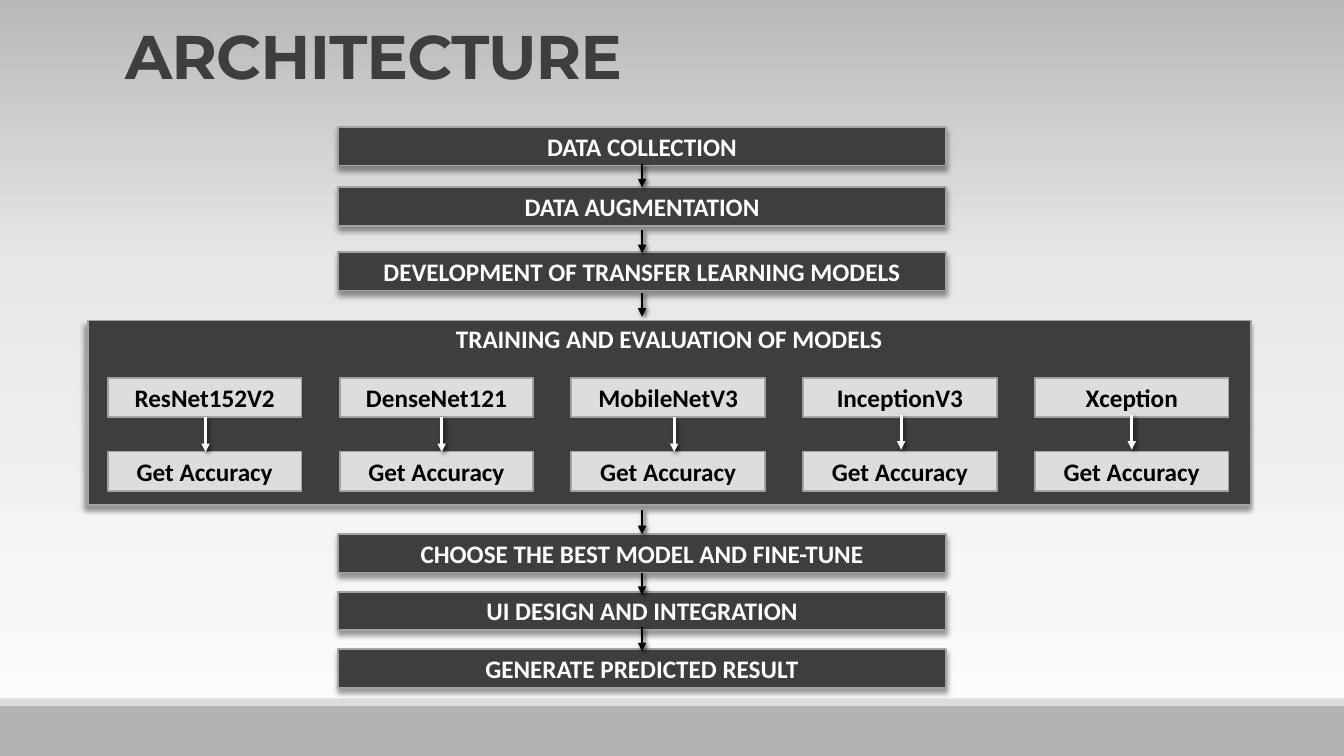
"""Build the architecture slide: a flow of steps around a panel of models."""
import copy

import lxml.etree
import pptx
import pptx.dml.color
import pptx.enum.dml
import pptx.enum.shapes
import pptx.enum.text
import pptx.oxml.ns
import pptx.util

Cm, Pt = pptx.util.Cm, pptx.util.Pt
qn = pptx.oxml.ns.qn
Align, Anchor = pptx.enum.text.PP_ALIGN, pptx.enum.text.MSO_ANCHOR

DARK, LIGHT, EDGE = "3E3E3E", "DDDDDD", "A3A3A3"
WHITE, BLACK = "FFFFFF", "000000"
WIDTH, HEIGHT = 33.87, 19.05
SKY = [(0, "FEFEFE"), (0.65, "E7E7E7"), (1, "B9B9B9")]
BANDS = [(17.78, 1.27, "B2B2B2"), (17.6, 0.18, LIGHT)]
TITLE = "ARCHITECTURE"
PANEL = "TRAINING AND EVALUATION OF MODELS"
SCORE = "Get Accuracy"
STEPS = [
    ("DATA COLLECTION", 3.2),
    ("DATA AUGMENTATION", 4.72),
    ("DEVELOPMENT OF TRANSFER LEARNING MODELS", 6.35),
    ("CHOOSE THE BEST MODEL AND FINE-TUNE", 13.46),
    ("UI DESIGN AND INTEGRATION", 14.91),
    ("GENERATE PREDICTED RESULT", 16.36),
]
FLOWS = [(4.14, 4.72), (5.79, 6.38), (7.39, 7.98),
         (12.85, 13.46), (14.43, 14.99), (15.8, 16.41)]
MODELS = [
    ("ResNet152V2", 5.18, 10.52),
    ("DenseNet121", 11.13, 10.52),
    ("MobileNetV3", 16.99, 10.52),
    ("InceptionV3", 22.71, 10.46),
    ("Xception", 28.52, 10.46),
]
LEFT, PITCH, TOP, DROP = 2.72, 5.84, 9.52, 1.86


def rgb(code):
    """Turn a hex string into a colour."""
    return pptx.dml.color.RGBColor.from_string(code)


def shade(shape, alpha, blur, dist, angle):
    """Give a shape or connector an outer shadow."""
    props = shape._element.spPr
    effect = props.find(qn("a:effectLst"))
    if effect is None:
        effect = lxml.etree.SubElement(props, qn("a:effectLst"))
    outer = lxml.etree.SubElement(
        effect, qn("a:outerShdw"), blurRad=str(Pt(blur)), dist=str(Pt(dist)),
        dir=str(angle * 60000), algn="ctr", rotWithShape="0")
    tint = lxml.etree.SubElement(outer, qn("a:srgbClr"), val=BLACK)
    lxml.etree.SubElement(tint, qn("a:alpha"), val=str(alpha * 1000))


def block(x, y, w, h, fill):
    """Draw a plain rectangle."""
    shape = slide.shapes.add_shape(
        pptx.enum.shapes.MSO_SHAPE.RECTANGLE, Cm(x), Cm(y), Cm(w), Cm(h))
    shape.shadow.inherit = False
    shape.fill.solid()
    shape.fill.fore_color.rgb = rgb(fill)
    shape.line.fill.background()
    return shape


def box(text, x, y, w, h, fill, ink, angle=None):
    """Draw an outlined rectangle with a bold label."""
    shape = block(x, y, w, h, fill)
    shape.line.color.rgb = rgb(EDGE)
    shape.line.width = Pt(1.25)
    if angle is not None:
        shade(shape, 40, 4, 3, angle)
    frame = shape.text_frame
    frame.text = text
    frame.word_wrap = True
    frame.vertical_anchor = Anchor.MIDDLE
    para = frame.paragraphs[0]
    para.alignment = Align.CENTER
    style(para.font, "Calibri", 18, ink)
    return shape


def style(font, name, size, ink):
    """Set a bold font."""
    font.name, font.size, font.bold = name, Pt(size), True
    font.color.rgb = rgb(ink)


def arrow(x, start, end, ink):
    """Draw a shadowed arrow pointing down."""
    line = slide.shapes.add_connector(
        pptx.enum.shapes.MSO_CONNECTOR.STRAIGHT, Cm(x), Cm(start), Cm(x), Cm(end))
    line.line.color.rgb = rgb(ink)
    line.line.width = Pt(2)
    lxml.etree.SubElement(line.line._get_or_add_ln(), qn("a:tailEnd"), type="triangle")
    shade(line, 60, 3, 2, 45)


deck = pptx.Presentation()
deck.slide_width, deck.slide_height = Cm(WIDTH), Cm(HEIGHT)
slide = deck.slides.add_slide(deck.slide_layouts[5])

back = slide.background.fill
back.gradient()
back.gradient_angle = 90
stops = slide.element.find(".//" + qn("a:gsLst"))
stops.append(copy.deepcopy(stops[0]))
for stop, (place, code) in zip(back.gradient_stops, SKY):
    stop.position = place
    stop.color.rgb = rgb(code)

for y, h, fill in BANDS:
    block(0, y, WIDTH, h, fill)

title = slide.shapes.title
title.left, title.top, title.width, title.height = Cm(2.9), Cm(0.61), Cm(27.94), Cm(3.18)
title.text = TITLE
title.text_frame.auto_size = pptx.enum.text.MSO_AUTO_SIZE.NONE
title.text_frame.vertical_anchor = Anchor.TOP
head = title.text_frame.paragraphs[0]
head.alignment = Align.LEFT
head.line_spacing = 0.85
style(head.font, "Montserrat", 44, DARK)
head.runs[0].font._element.set("spc", "-50")

panel = box(PANEL, 2.21, 8.08, 29.31, 4.65, DARK, WHITE, 135)
panel.text_frame.vertical_anchor = Anchor.TOP
panel.text_frame.margin_top = Cm(0.08)

for i, (name, x, start) in enumerate(MODELS):
    for row, text in enumerate((name, SCORE)):
        box(text, LEFT + i * PITCH, TOP + row * DROP, 4.88, 0.99, LIGHT, BLACK)
    arrow(x, start, start + 0.87, WHITE)

for text, y in STEPS:
    box(text, 8.51, y, 15.34, 0.97, DARK, WHITE, 90)
for start, end in FLOWS:
    arrow(16.18, start, end, BLACK)

deck.save("out.pptx")
